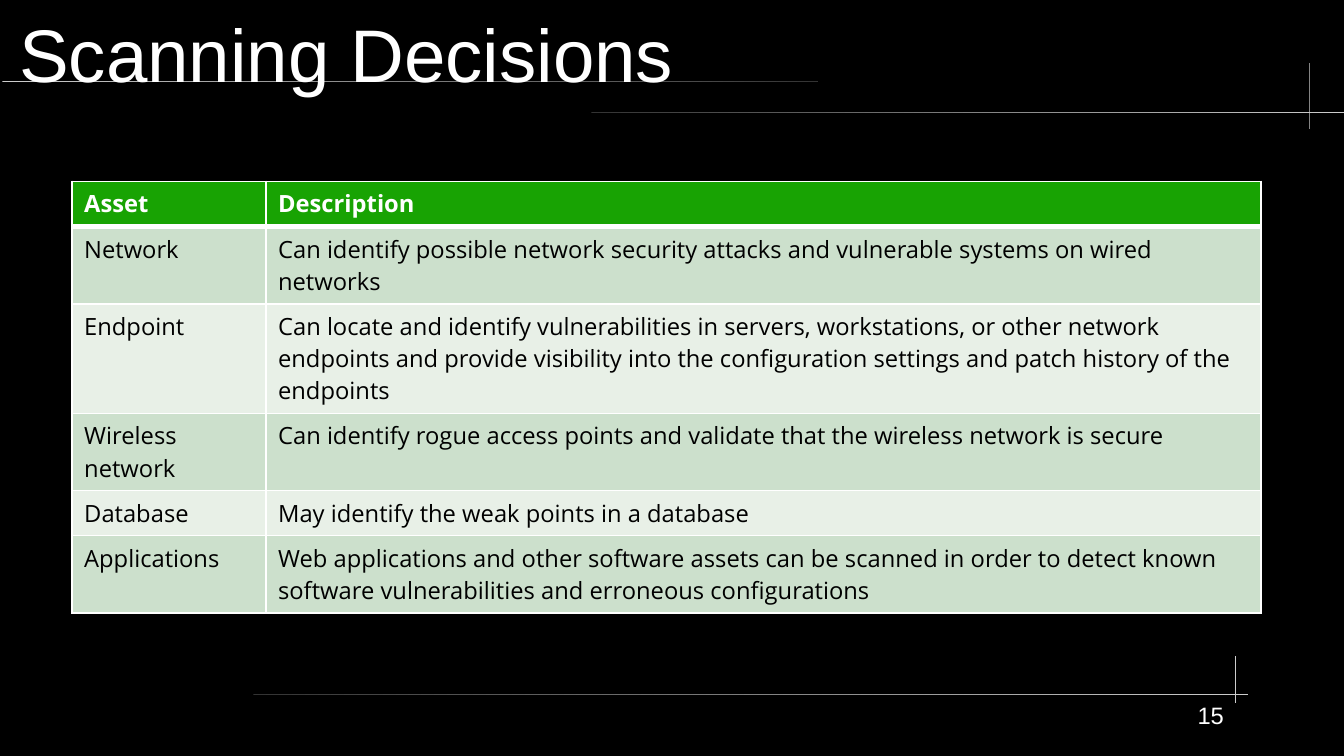
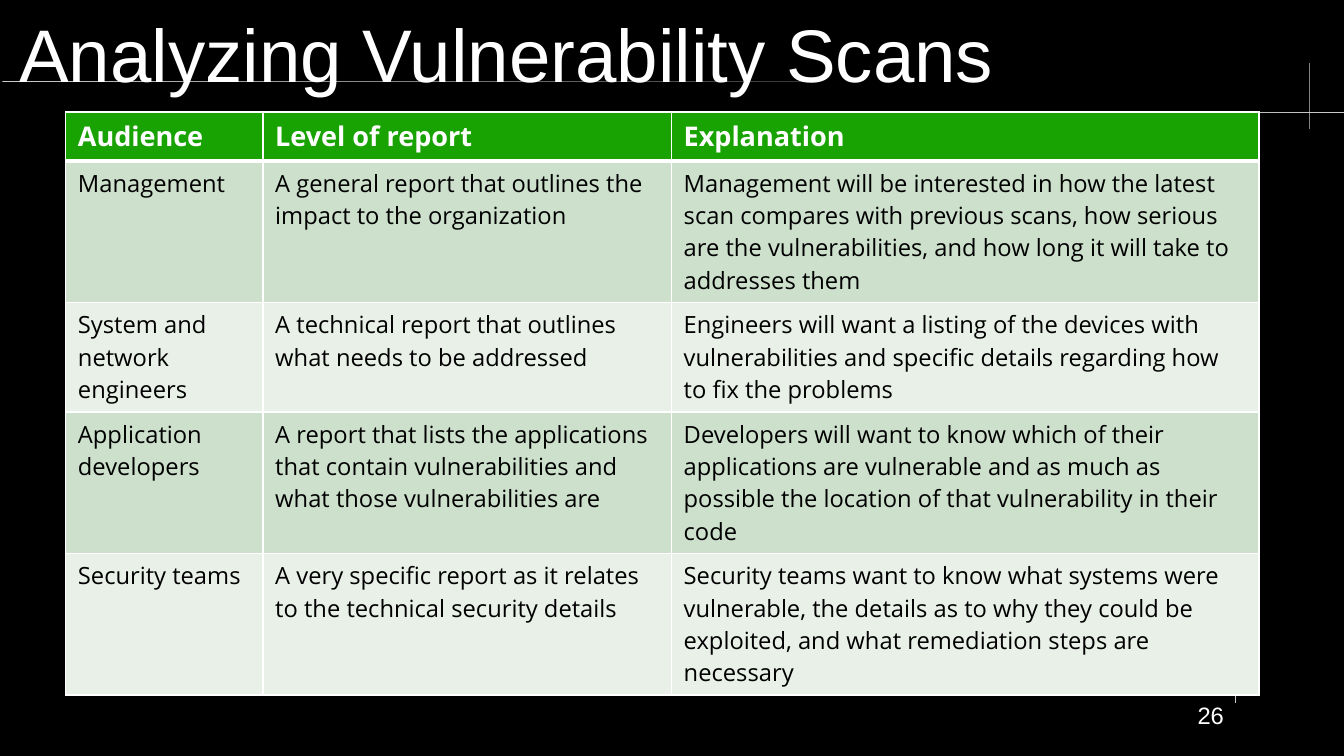
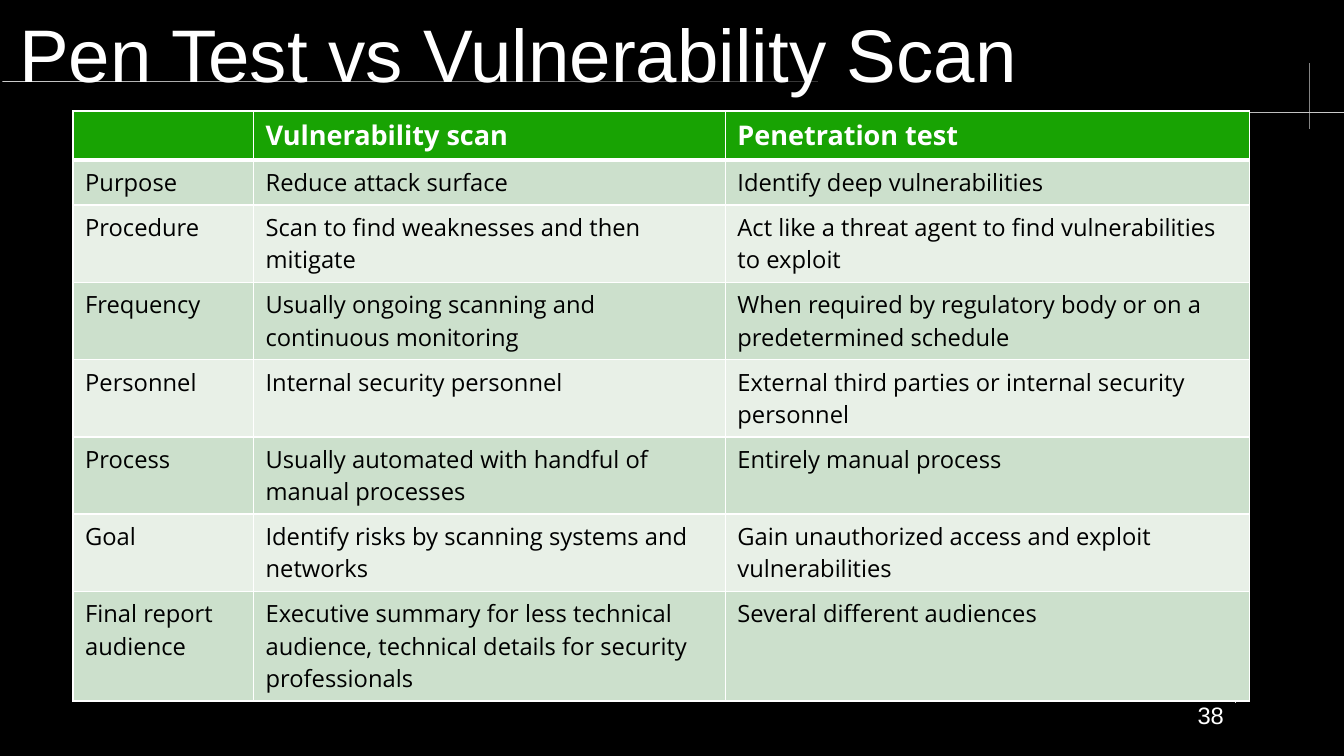
from pptx import Presentation
from pptx.dml.color import RGBColor
from pptx.enum.shapes import MSO_SHAPE
from pptx.enum.text import MSO_ANCHOR, PP_ALIGN
from pptx.oxml import parse_xml
from pptx.oxml.ns import nsdecls
from pptx.util import Cm, Pt

HUES = {
    "back": "000000", "white": "FFFFFF", "ink": "000000",
    "dim": "333333", "pale": "CCCCCC",
    "head": "18A303", "odd": "CCE0CC", "even": "E8F0E7",
}
THIN, THICK = Pt(0.96), Pt(3)


def style(para, size, face, hue, bold=False):
    font = para.font
    font.size, font.name, font.bold = Pt(size), face, bold
    font.color.rgb = RGBColor.from_string(HUES[hue])


def edge(cell, side, width):
    cell._tc.get_or_add_tcPr().append(parse_xml(
        f'<a:ln{side} {nsdecls("a")} w="{width}"><a:solidFill>'
        f'<a:srgbClr val="{HUES["white"]}"/></a:solidFill></a:ln{side}>'))


# Title, page, table left and top, head size, column widths, lines per row, rows
PAGES = [
    ("Scanning Decisions", "15", 1.5, 3.78, 14, (4.04, 20.73), (2, 3, 2, 1, 2), [
        ("Asset", "Description"),
        ("Network", "Can identify possible network security attacks and "
         "vulnerable systems on wired networks"),
        ("Endpoint", "Can locate and identify vulnerabilities in servers, "
         "workstations, or other network endpoints and provide visibility into "
         "the configuration settings and patch history of the endpoints"),
        ("Wireless network", "Can identify rogue access points and validate "
         "that the wireless network is secure"),
        ("Database", "May identify the weak points in a database"),
        ("Applications", "Web applications and other software assets can be "
         "scanned in order to detect known software vulnerabilities and "
         "erroneous configurations"),
    ]),
    ("Analyzing Vulnerability Scans", "26", 1.37, 2.33, 16,
     (4.11, 8.51, 12.24), (4, 3, 4, 4), [
        ("Audience", "Level of report", "Explanation"),
        ("Management",
         "A general report that outlines the impact to the organization",
         "Management will be interested in how the latest scan compares with "
         "previous scans, how serious are the vulnerabilities, and how long it "
         "will take to addresses them"),
        ("System and network engineers",
         "A technical report that outlines what needs to be addressed",
         "Engineers will want a listing of the devices with vulnerabilities "
         "and specific details regarding how to fix the problems"),
        ("Application developers",
         "A report that lists the applications that contain vulnerabilities "
         "and what those vulnerabilities are",
         "Developers will want to know which of their applications are "
         "vulnerable and as much as possible the location of that "
         "vulnerability in their code"),
        ("Security teams",
         "A very specific report as it relates to the technical security details",
         "Security teams want to know what systems were vulnerable, the "
         "details as to why they could be exploited, and what remediation "
         "steps are necessary"),
     ]),
    ("Pen Test vs Vulnerability Scan", "38", 1.52, 2.31, 16,
     (3.76, 9.83, 10.92), (1, 2, 2, 2, 2, 2, 3), [
        ("", "Vulnerability scan", "Penetration test"),
        ("Purpose", "Reduce attack surface", "Identify deep vulnerabilities"),
        ("Procedure", "Scan to find weaknesses and then mitigate",
         "Act like a threat agent to find vulnerabilities to exploit"),
        ("Frequency", "Usually ongoing scanning and continuous monitoring",
         "When required by regulatory body or on a predetermined schedule"),
        ("Personnel", "Internal security personnel",
         "External third parties or internal security personnel"),
        ("Process", "Usually automated with handful of manual processes",
         "Entirely manual process"),
        ("Goal", "Identify risks by scanning systems and networks",
         "Gain unauthorized access and exploit vulnerabilities"),
        ("Final report audience",
         "Executive summary for less technical audience, technical details "
         "for security professionals",
         "Several different audiences"),
     ]),
]

# Rules: left, top, width, height, start and end colour
RULES = [
    (0.05, 1.68, 17, 0.04, "pale", "dim"),
    (12.32, 2.34, 15.68, 0.02, "dim", "pale"),
    (27.28, 1.32, 0.02, 1.37, "pale", "pale"),
    (5.28, 14.45, 20.73, 0.02, "dim", "pale"),
    (25.73, 13.67, 0.02, 0.97, "pale", "pale"),
]

deck = Presentation()
deck.slide_width, deck.slide_height = Cm(28), Cm(15.75)
plain = deck.slide_layouts[5]
slides = [deck.slides.add_slide(plain) for page in PAGES]

# Shared master: black ground and fading rules
master = deck.slide_master
master.background.fill.solid()
master.background.fill.fore_color.rgb = RGBColor.from_string(HUES["back"])
for num, (left, top, wide, high, start, end) in enumerate(RULES):
    rule = slides[0].shapes.add_shape(
        MSO_SHAPE.RECTANGLE, Cm(left), Cm(top), Cm(wide), Cm(high))
    rule.shadow.inherit = False
    rule.line.fill.background()
    rule.fill.gradient()
    rule.fill.gradient_angle = 0
    for stop, hue in zip(rule.fill.gradient_stops, (start, end)):
        stop.color.rgb = RGBColor.from_string(HUES[hue])
    rule._element.nvSpPr.cNvPr.set("id", str(100 + num))
    master.shapes._spTree.append(rule._element)

for slide, page in zip(slides, PAGES):
    name, number, left, top, size, widths, lines, rows = page

    # Title
    title = slide.shapes.title
    title.left, title.top = Cm(0.4), Cm(0.2)
    title.width, title.height = Cm(26.5), Cm(1.8)
    frame = title.text_frame
    frame.text = name
    frame.vertical_anchor = MSO_ANCHOR.MIDDLE
    frame.margin_left = frame.margin_right = 0
    frame.margin_top = frame.margin_bottom = 0
    frame.paragraphs[0].alignment = PP_ALIGN.LEFT
    style(frame.paragraphs[0], 44, "Arial", "white")

    # Table
    highs = [0.94 if size == 14 else 1.02]
    highs += [0.27 + 0.67 * count for count in lines]
    grid = slide.shapes.add_table(
        len(rows), len(widths), Cm(left), Cm(top),
        Cm(sum(widths)), Cm(sum(highs))).table
    grid.horz_banding = False
    for col, wide in zip(grid.columns, widths):
        col.width = Cm(wide)
    for r, (row, high) in enumerate(zip(rows, highs)):
        grid.rows[r].height = Cm(high)
        head = r == 0
        fill = "head" if head else "odd" if r % 2 else "even"
        for c, text in enumerate(row):
            cell = grid.cell(r, c)
            cell.text = text
            style(cell.text_frame.paragraphs[0], size if head else 14,
                  "Open Sans", "white" if head else "ink", head)
            edge(cell, "L", THIN)
            edge(cell, "R", THIN)
            edge(cell, "T", THICK if r == 1 else THIN)
            edge(cell, "B", THICK if head else THIN)
            cell.fill.solid()
            cell.fill.fore_color.rgb = RGBColor.from_string(HUES[fill])

    # Page number
    box = slide.shapes.add_textbox(Cm(21), Cm(14.6), Cm(4.5), Cm(1.14))
    frame = box.text_frame
    frame.word_wrap = True
    frame.margin_left = frame.margin_right = 0
    frame.margin_top = frame.margin_bottom = 0
    frame.text = number
    frame.paragraphs[0].alignment = PP_ALIGN.RIGHT
    style(frame.paragraphs[0], 14, "Arial", "white")

deck.save("out.pptx")
